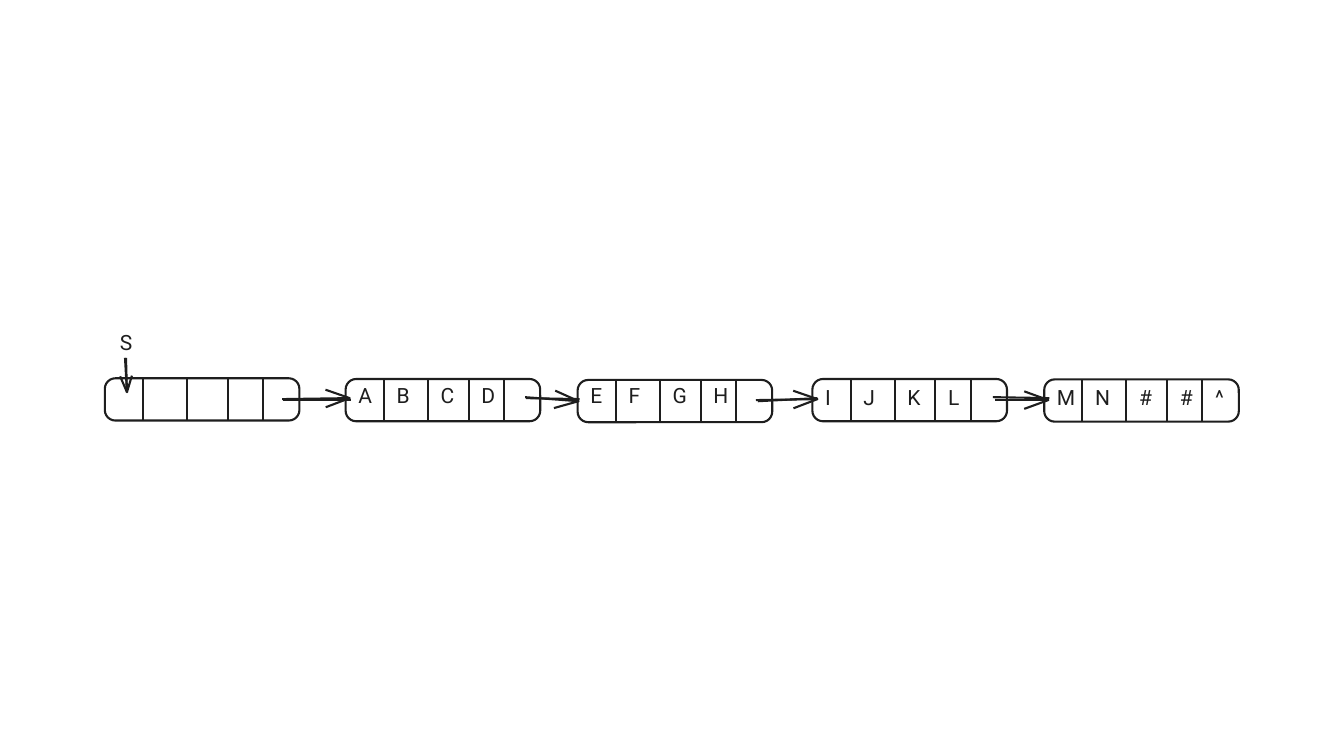
from math import atan2, cos, hypot, radians, sin

from lxml import etree
from pptx import Presentation
from pptx.dml.color import RGBColor
from pptx.enum.shapes import MSO_CONNECTOR, MSO_SHAPE
from pptx.enum.text import MSO_AUTO_SIZE
from pptx.oxml.ns import qn
from pptx.util import Pt

STRAIGHT = MSO_CONNECTOR.STRAIGHT
ROUNDED = MSO_SHAPE.ROUNDED_RECTANGLE
FIT_SHAPE = MSO_AUTO_SIZE.SHAPE_TO_FIT_TEXT

INK = "1E1E1E"
FONT = "Roboto"
NODE_WIDTH, NODE_HEIGHT = 139, 30.2
CELL_STARTS = [0, 27.3, 58.7, 87.8, 113]
LABEL_HEIGHT = 27
LABEL_INDENT = 2
LABEL_WIDTHS = {
    "A": 24.5, "B": 22.3, "C": 23.8, "D": 25.2, "E": 21.6, "F": 21.6,
    "G": 25.2, "H": 25.2, "I": 18, "J": 19.4, "K": 23.8, "L": 20.9,
    "M": 28.1, "N": 25.9, "#": 23.8, "^": 25.2, "S": 22.3,
}
NODES = [
    (74.9, 270.2, 270, ""),
    (246.9, 270.7, 270, "ABCD"),
    (412.6, 271.4, 270, "EFGH"),
    (580.3, 270.7, 271.4, "IJKL"),
    (745.9, 271, 271.4, "MN##^"),
]
ARROWS = [
    ((201.6, 285.1, 249.8, 284.4), (202.3, 285.8, 250.6, 285.8)),
    ((375.1, 283.7, 413.3, 286.6), (375.8, 284.4, 414, 285.1)),
    ((540, 285.8, 583.9, 285.1), (541.4, 286.6, 583.9, 284.4)),
    ((710.6, 285.8, 748.8, 285.8), (709.2, 283.7, 749.5, 284.4)),
    ((89.3, 255.6, 90.7, 280.1), (90, 255.6, 90.7, 280.1)),
]
WING_LENGTH = 18.3
WING_ANGLE = radians(20)


def colour(value):
    return RGBColor.from_string(value)


def style_line(line):
    line.color.rgb = colour(INK)
    line.width = Pt(1.5)


def outline(shape):
    shape.shadow.inherit = False
    shape.fill.background()
    style_line(shape.line)


def add_stroke(page, x1, y1, x2, y2):
    stroke = page.shapes.add_connector(STRAIGHT, Pt(x1), Pt(y1), Pt(x2), Pt(y2))
    style_line(stroke.line)
    etree.SubElement(stroke._element.spPr, qn("a:effectLst"))


def add_label(page, left, top, text):
    box = page.shapes.add_textbox(
        Pt(left), Pt(top), Pt(LABEL_WIDTHS[text]), Pt(LABEL_HEIGHT))
    frame = box.text_frame
    frame.word_wrap = False
    frame.auto_size = FIT_SHAPE
    span = frame.paragraphs[0].add_run()
    span.text = text
    span.font.name = FONT
    span.font.size = Pt(15)
    span.font.color.rgb = colour(INK)


def add_node(page, left, top, label_top, labels):
    body = page.shapes.add_shape(
        ROUNDED, Pt(left), Pt(top), Pt(NODE_WIDTH), Pt(NODE_HEIGHT))
    body.adjustments[0] = 0.25
    outline(body)
    for start in CELL_STARTS[1:]:
        add_stroke(page, left + start, top + 0.7,
                   left + start, top + NODE_HEIGHT - 0.7)
    for start, text in zip(CELL_STARTS, labels):
        add_label(page, left + start + LABEL_INDENT, label_top, text)


def add_arrow(page, shaft, second_shaft):
    add_stroke(page, *shaft)
    add_stroke(page, *second_shaft)
    x1, y1, x2, y2 = shaft
    length = min(WING_LENGTH, hypot(x2 - x1, y2 - y1) / 2)
    heading = atan2(y2 - y1, x2 - x1)
    wings = [
        (Pt(x2 - length * cos(heading + turn)),
         Pt(y2 - length * sin(heading + turn)))
        for turn in (-WING_ANGLE, WING_ANGLE)
    ]
    builder = page.shapes.build_freeform(*wings[0])
    builder.add_line_segments([(Pt(x2), Pt(y2)), wings[1]], close=False)
    outline(builder.convert_to_shape())


def main():
    deck = Presentation()
    deck.slide_width, deck.slide_height = Pt(960), Pt(540)
    page = deck.slides.add_slide(deck.slide_layouts[6])
    for node in NODES:
        add_node(page, *node)
    add_label(page, 78.5, 231.8, "S")
    for arrow in ARROWS:
        add_arrow(page, *arrow)
    deck.save("out.pptx")


if __name__ == "__main__":
    main()
